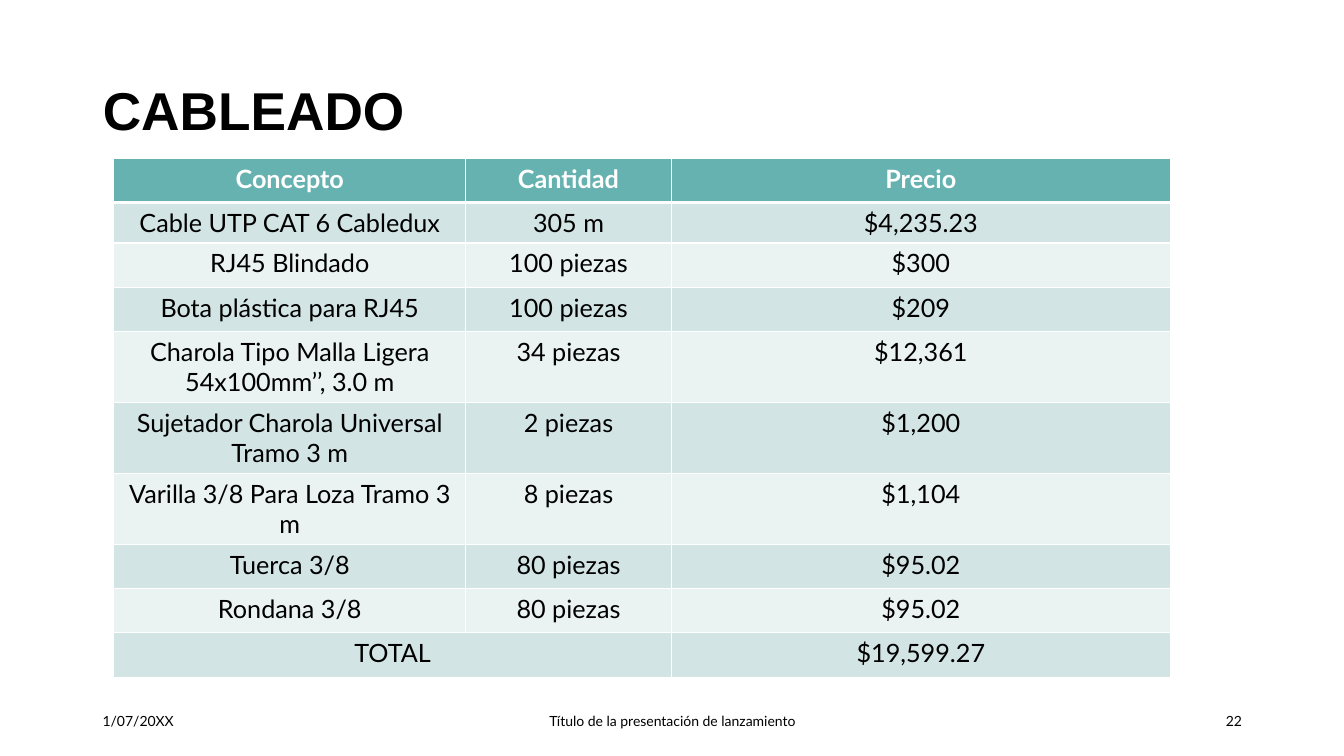
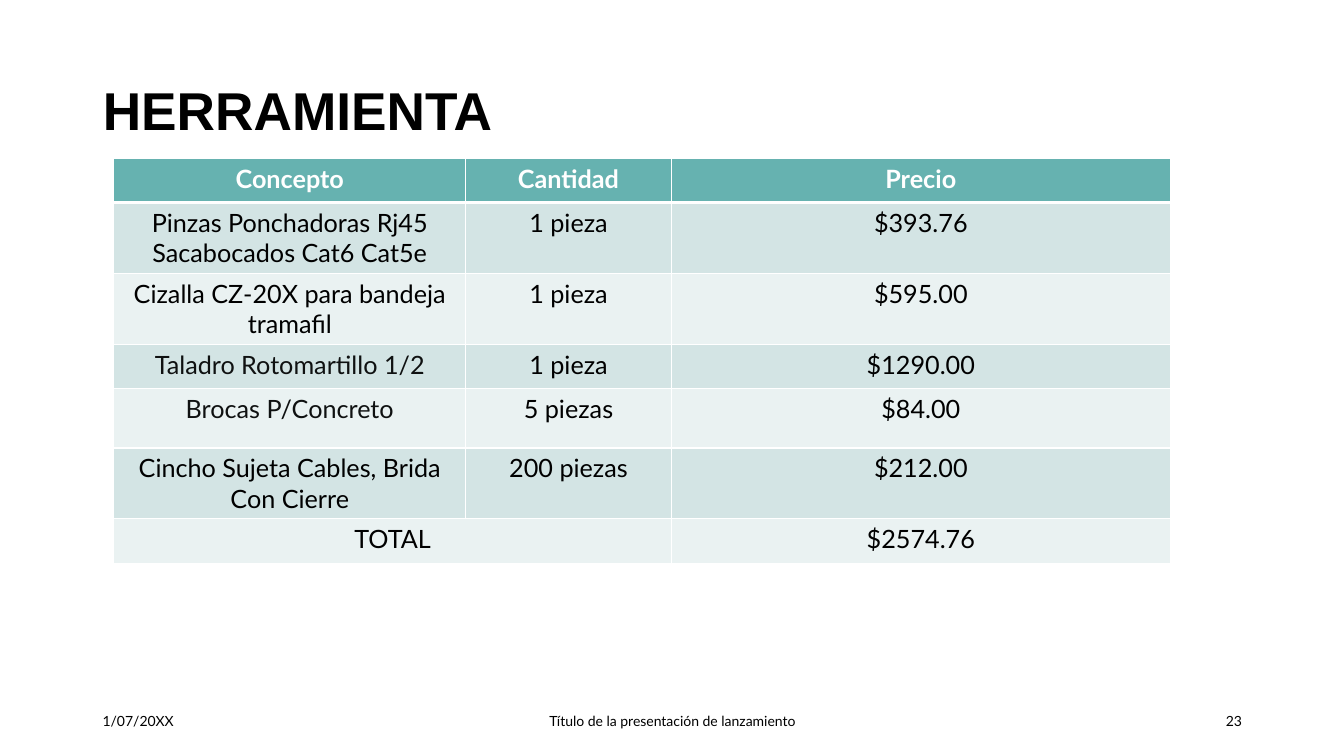
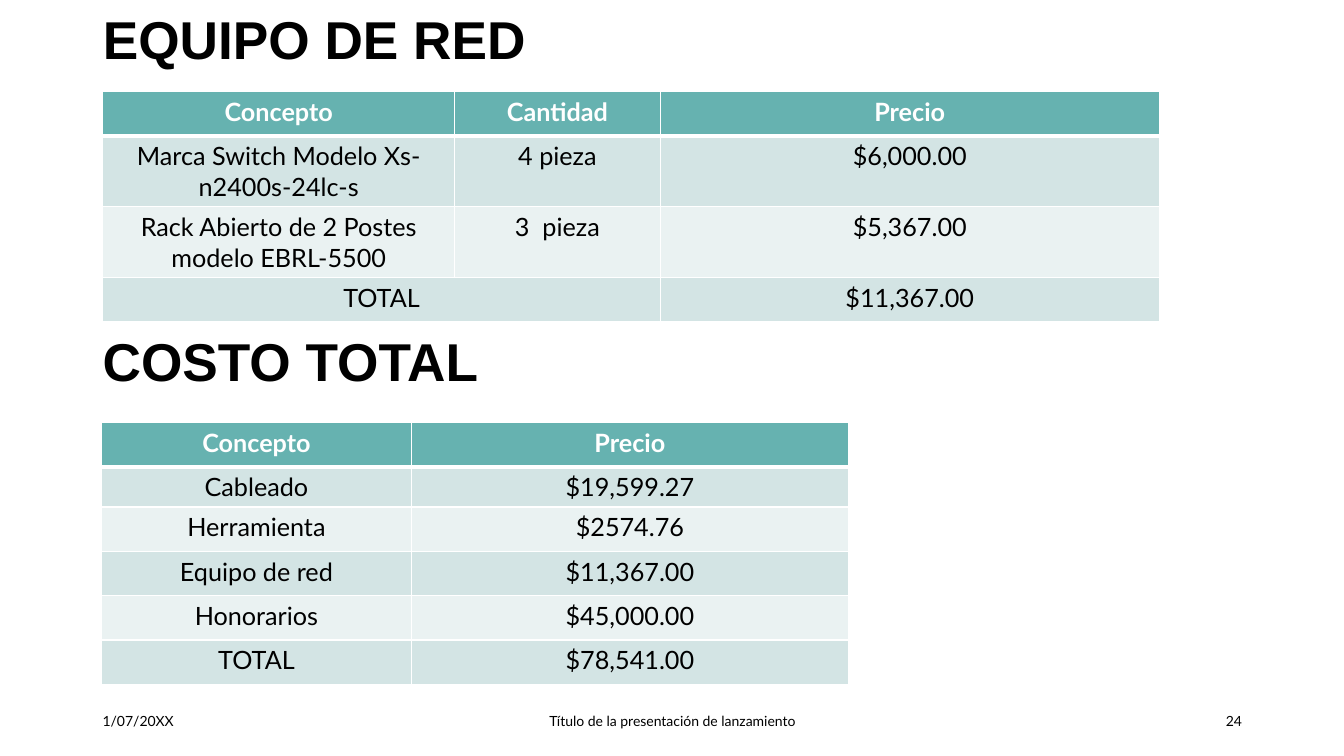
"""Build three budget slides with a shared title, table and footer style."""
import lxml.etree
import pptx
import pptx.dml.color
import pptx.enum.text
import pptx.oxml.ns
import pptx.util

Pt = pptx.util.Pt
ALIGN = pptx.enum.text.PP_ALIGN
ANCHOR = pptx.enum.text.MSO_ANCHOR

BLACK, INK, WHITE = "000000", "0F1111", "FFFFFF"
HEADER_FILL = "66B2B0"
BAND_FILLS = ("D3E4E4", "EAF2F2")
THIN, THICK = 1, 3

TITLE_FORMAT = {"size": 38, "font": "Arial", "bold": True, "spacing": 0.9}
TITLE_SIZE = (828, 104.4)
TITLE_LEFT = 66.24

FOOTER_TOP, FOOTER_HEIGHT = 500.4, 28.8
FIRST_NUMBER = 22
FOOTERS = [
    (66.24, 216, ALIGN.LEFT, "1/07/20XX"),
    (318.24, 324, ALIGN.CENTER, "Título de la presentación de lanzamiento"),
    (678.24, 216, ALIGN.RIGHT, "{number}"),
]

ITEM_HEADER = ("Concepto", "Cantidad", "Precio")
ITEM_COLUMNS = (251.3, 146.9, 356.4)
SHORT, LINE, TALL, DOUBLE = 28.8, 31.68, 42.48, 50.6
INK_CONCEPTS = ("Taladro Rotomartillo 1/2", "Brocas P/Concreto")

SLIDES = [
    [
        {
            "title": "CABLEADO", "title_top": 28.8,
            "left": 81.36, "top": 113.04, "columns": ITEM_COLUMNS,
            "heights": [LINE, SHORT, LINE, LINE, DOUBLE, DOUBLE, DOUBLE, LINE, LINE, LINE],
            "rows": [
                ITEM_HEADER,
                ("Cable UTP CAT 6 Cabledux", "305 m", "$4,235.23"),
                ("RJ45 Blindado", "100 piezas", "$300"),
                ("Bota plástica para RJ45", "100 piezas", "$209"),
                ("Charola Tipo Malla Ligera 54x100mm’’, 3.0 m", "34 piezas", "$12,361"),
                ("Sujetador Charola Universal Tramo 3 m", "2 piezas", "$1,200"),
                ("Varilla 3/8 Para Loza Tramo 3 m", "8 piezas", "$1,104"),
                ("Tuerca 3/8", "80 piezas", "$95.02"),
                ("Rondana 3/8", "80 piezas", "$95.02"),
                ("TOTAL", None, "$19,599.27"),
            ],
        },
    ],
    [
        {
            "title": "HERRAMIENTA", "title_top": 28.8,
            "left": 81.36, "top": 113.04, "columns": ITEM_COLUMNS,
            "heights": [LINE, DOUBLE, DOUBLE, LINE, TALL, DOUBLE, LINE],
            "rows": [
                ITEM_HEADER,
                ("Pinzas Ponchadoras Rj45 Sacabocados Cat6 Cat5e", "1 pieza", "$393.76"),
                ("Cizalla CZ-20X para bandeja tramafil", "1 pieza", "$595.00"),
                ("Taladro Rotomartillo 1/2", "1 pieza", "$1290.00"),
                ("Brocas P/Concreto", "5 piezas", "$84.00"),
                ("Cincho Sujeta Cables, Brida Con Cierre", "200 piezas", "$212.00"),
                ("TOTAL", None, "$2574.76"),
            ],
        },
    ],
    [
        {
            "title": "EQUIPO DE RED", "title_top": -22.32,
            "left": 73.44, "top": 65.52, "columns": ITEM_COLUMNS,
            "heights": [LINE, DOUBLE, DOUBLE, LINE],
            "rows": [
                ITEM_HEADER,
                ("Marca Switch Modelo Xs-n2400s-24lc-s", "4 pieza", "$6,000.00"),
                ("Rack Abierto de 2 Postes\nmodelo EBRL-5500", "3  pieza", "$5,367.00"),
                ("TOTAL", None, "$11,367.00"),
            ],
        },
        {
            "title": "COSTO TOTAL", "title_top": 208.08,
            "left": 72.72, "top": 301.68, "columns": (221, 312.5),
            "heights": [LINE, SHORT, LINE, LINE, LINE, LINE],
            "rows": [
                ("Concepto", "Precio"),
                ("Cableado", "$19,599.27"),
                ("Herramienta", "$2574.76"),
                ("Equipo de red", "$11,367.00"),
                ("Honorarios", "$45,000.00"),
                ("TOTAL", "$78,541.00"),
            ],
        },
    ],
]


def rgb(value):
    """Turn a hex string into a colour."""
    return pptx.dml.color.RGBColor.from_string(value)


def write(frame, text, size=18, font="Lato", color=BLACK, bold=False,
          align=ALIGN.LEFT, spacing=None):
    """Write text into a frame, one paragraph per line."""
    frame.word_wrap = True
    for index, line in enumerate(text.split("\n")):
        paragraph = frame.add_paragraph() if index else frame.paragraphs[0]
        paragraph.alignment = align
        paragraph.line_spacing = spacing
        run = paragraph.add_run()
        run.text = line
        run.font.size = Pt(size)
        run.font.name = font
        run.font.bold = bold
        run.font.color.rgb = rgb(color)


def set_borders(cell, top, bottom):
    """Give a cell white borders of the stated widths."""
    properties = cell._tc.get_or_add_tcPr()
    qn = pptx.oxml.ns.qn
    for side, width in (("L", THIN), ("R", THIN), ("T", top), ("B", bottom)):
        line = lxml.etree.SubElement(properties, qn(f"a:ln{side}"), w=str(Pt(width)))
        fill = lxml.etree.SubElement(line, qn("a:solidFill"))
        lxml.etree.SubElement(fill, qn("a:srgbClr"), val=WHITE)


def add_title(slide, section):
    """Fill the title placeholder, or add a second heading below it."""
    box = (Pt(TITLE_LEFT), Pt(section["title_top"]), *map(Pt, TITLE_SIZE))
    title = slide.shapes.title
    if title.has_text_frame and title.text_frame.text:
        title = slide.shapes.add_textbox(*box)
    title.left, title.top, title.width, title.height = box
    title.text_frame.auto_size = pptx.enum.text.MSO_AUTO_SIZE.NONE
    title.text_frame.vertical_anchor = ANCHOR.MIDDLE
    write(title.text_frame, section["title"], **TITLE_FORMAT)


def add_price_table(slide, section):
    """Add a banded table; an empty entry joins the cell on its left."""
    rows, columns, heights = section["rows"], section["columns"], section["heights"]
    table = slide.shapes.add_table(
        len(rows), len(columns), Pt(section["left"]), Pt(section["top"]),
        Pt(sum(columns)), Pt(sum(heights))).table
    for column, width in zip(table.columns, columns):
        column.width = Pt(width)
    for row_index, (row, height) in enumerate(zip(rows, heights)):
        table.rows[row_index].height = Pt(height)
        header = row_index == 0
        for column_index, text in enumerate(row):
            cell = table.cell(row_index, column_index)
            set_borders(cell, THICK if row_index == 1 else THIN, THICK if header else THIN)
            cell.fill.solid()
            cell.fill.fore_color.rgb = rgb(HEADER_FILL if header else BAND_FILLS[(row_index - 1) % 2])
            if text is None:
                table.cell(row_index, column_index - 1).merge(cell)
                continue
            color = WHITE if header else INK if text in INK_CONCEPTS else BLACK
            write(cell.text_frame, text, color=color, bold=header, align=ALIGN.CENTER)


def add_footers(slide, number):
    """Add the date, presentation title and slide number."""
    for left, width, align, text in FOOTERS:
        shape = slide.shapes.add_textbox(Pt(left), Pt(FOOTER_TOP), Pt(width), Pt(FOOTER_HEIGHT))
        shape.text_frame.vertical_anchor = ANCHOR.MIDDLE
        write(shape.text_frame, text.format(number=number), size=10, align=align)


def main():
    """Build and save the presentation."""
    presentation = pptx.Presentation()
    presentation.slide_width, presentation.slide_height = Pt(960), Pt(540)
    title_only = presentation.slide_layouts[5]
    for number, sections in enumerate(SLIDES, start=FIRST_NUMBER):
        slide = presentation.slides.add_slide(title_only)
        for section in sections:
            add_title(slide, section)
            add_price_table(slide, section)
        add_footers(slide, number)
    presentation.save("out.pptx")


if __name__ == "__main__":
    main()
